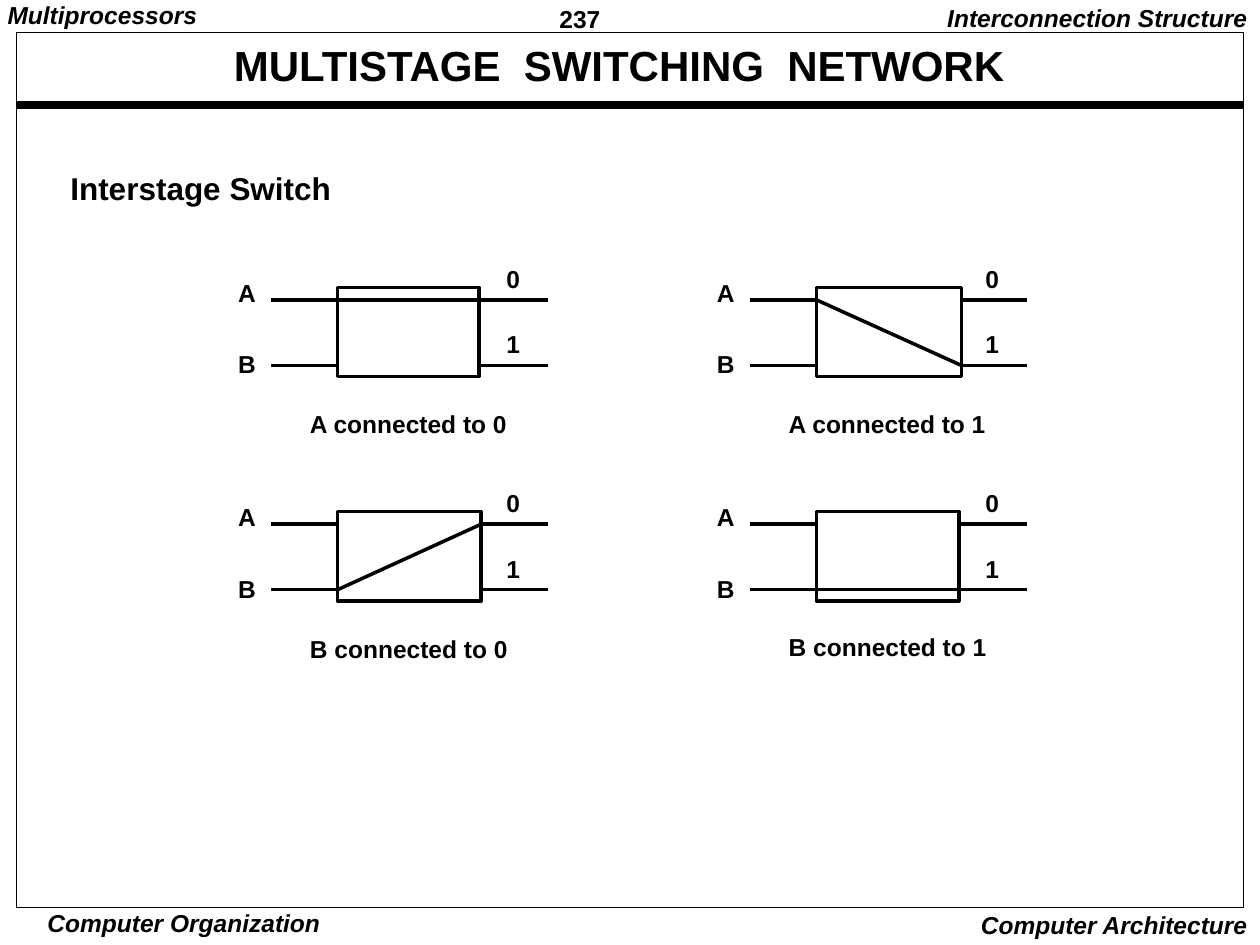
import pptx
import pptx.dml.color
import pptx.enum.shapes
import pptx.enum.text
import pptx.oxml.ns
import pptx.util
from dataclasses import dataclass
from lxml import etree

Inches = pptx.util.Inches
Pt = pptx.util.Pt
Align = pptx.enum.text.PP_ALIGN
Anchor = pptx.enum.text.MSO_ANCHOR
Fit = pptx.enum.text.MSO_AUTO_SIZE


@dataclass(frozen=True)
class Theme:
    ink: pptx.dml.color.RGBColor = pptx.dml.color.RGBColor(0, 0, 0)
    font: str = "Arial"
    title: float = 24
    head: float = 18
    body: float = 14
    frame: float = 0.5
    wire: float = 2
    rule: float = 4.5


THEME = Theme()


def apply(target, values):
    for name, value in values.items():
        setattr(target, name, value)


def add_text(shapes, text, left, top, width, height, size=THEME.body,
             pad=(0.1, 0.05), align=Align.LEFT, space=0.9, italic=False,
             wrap=False):
    box = shapes.add_textbox(Inches(left), Inches(top),
                             Inches(width), Inches(height))
    side, edge = map(Inches, pad)
    apply(box.text_frame, {
        "margin_left": side, "margin_right": side,
        "margin_top": edge, "margin_bottom": edge,
        "word_wrap": wrap,
        "auto_size": Fit.NONE if wrap else Fit.SHAPE_TO_FIT_TEXT,
        "vertical_anchor": Anchor.MIDDLE if wrap else Anchor.TOP,
    })
    para = box.text_frame.paragraphs[0]
    apply(para, {"alignment": align, "line_spacing": space})
    run = para.add_run()
    run.text = text
    apply(run.font, {"name": THEME.font, "size": Pt(size),
                     "bold": True, "italic": italic})
    run.font.color.rgb = THEME.ink


def set_line(shape, weight):
    shape.line.color.rgb = THEME.ink
    shape.line.width = Pt(weight)


def add_box(shapes, left, top, width, height, weight):
    box = shapes.add_shape(pptx.enum.shapes.MSO_SHAPE.RECTANGLE,
                           Inches(left), Inches(top),
                           Inches(width), Inches(height))
    box.shadow.inherit = False
    box.fill.background()
    set_line(box, weight)


def add_line(shapes, x1, y1, x2, y2, weight=THEME.wire):
    line = shapes.add_connector(pptx.enum.shapes.MSO_CONNECTOR.STRAIGHT,
                                Inches(x1), Inches(y1),
                                Inches(x2), Inches(y2))
    set_line(line, weight)
    etree.SubElement(line._element.spPr, pptx.oxml.ns.qn("a:effectLst"))


def add_switch(slide, left, top, source, port, width, drop):
    """Draw one 2 x 2 switch; left and top mark the start of wire A."""
    shapes = slide.shapes.add_group_shape().shapes
    near, far = left + 0.53, left + 2.2
    exit_x = near + width
    rows = (top, top + 0.52)
    add_box(shapes, near, top - 0.1, width, 0.71, THEME.wire)

    # Wires: a straight path is one long line, all others are stubs
    start, end = "AB".index(source), int(port)
    for row, y in enumerate(rows):
        if row == start == end:
            add_line(shapes, left, y, far, y)
        else:
            add_line(shapes, left, y, near, y)
            add_line(shapes, exit_x, y, far, y)
    if start != end:
        add_line(shapes, near, rows[start], exit_x, rows[end])

    # Labels
    pad = (0.12, 0.06)
    for row, (name, digit) in enumerate(zip("AB", "01")):
        add_text(shapes, name, left - 0.38, top - 0.21 + row * 0.57,
                 0.39, 0.33, pad=pad)
        add_text(shapes, digit, left + 1.75, top - 0.32 + row * 0.52,
                 0.35, 0.33, pad=pad)
    add_text(shapes, f"{source} connected to {port}", left + 0.19, top + drop,
             1.9, 0.33, pad=pad)


def add_frame(slide):
    shapes = slide.shapes
    add_text(shapes, "237", 4.37, 0, 1.08, 0.29, pad=(0.07, 0.03), space=1.01)
    add_text(shapes, "Computer Organization", 0.31, 7.2, 2.3, 0.26,
             pad=(0.03, 0.01), align=Align.CENTER, space=1.0, italic=True)
    add_text(shapes, "Computer Architecture", 7.6, 7.17, 2.4, 0.33,
             align=Align.RIGHT, space=1.0, italic=True)
    add_line(shapes, 0.13, 0.83, 9.87, 0.83, THEME.rule)
    add_box(shapes, 0.13, 0.26, 9.74, 6.94, THEME.frame)
    add_text(shapes, "Interconnection Structure", 7.33, 0, 2.67, 0.31,
             align=Align.RIGHT, italic=True)
    add_text(shapes, "Multiprocessors", -0.01, 0, 1.7, 0.27,
             pad=(0.07, 0.03), italic=True)


def main():
    deck = pptx.Presentation()
    apply(deck, {"slide_width": Inches(10), "slide_height": Inches(7.5)})
    slide = deck.slides.add_slide(deck.slide_layouts[6])

    # Page frame and headings
    add_frame(slide)
    add_text(slide.shapes, "MULTISTAGE  SWITCHING  NETWORK", 0, 0.18, 9.83,
             0.71, size=THEME.title, align=Align.CENTER, wrap=True)
    add_text(slide.shapes, "Interstage Switch", 0.46, 1.33, 2.35, 0.37,
             size=THEME.head)

    # Switch states: source, port, box width, caption drop
    states = (("A", "0", 1.12, 0.83), ("A", "1", 1.15, 0.83),
              ("B", "0", 1.14, 0.84), ("B", "1", 1.13, 0.82))
    for index, state in enumerate(states):
        row, col = divmod(index, 2)
        add_switch(slide, 2.15 + col * 3.8, 2.38 + row * 1.78, *state)

    deck.save("out.pptx")


if __name__ == "__main__":
    main()
